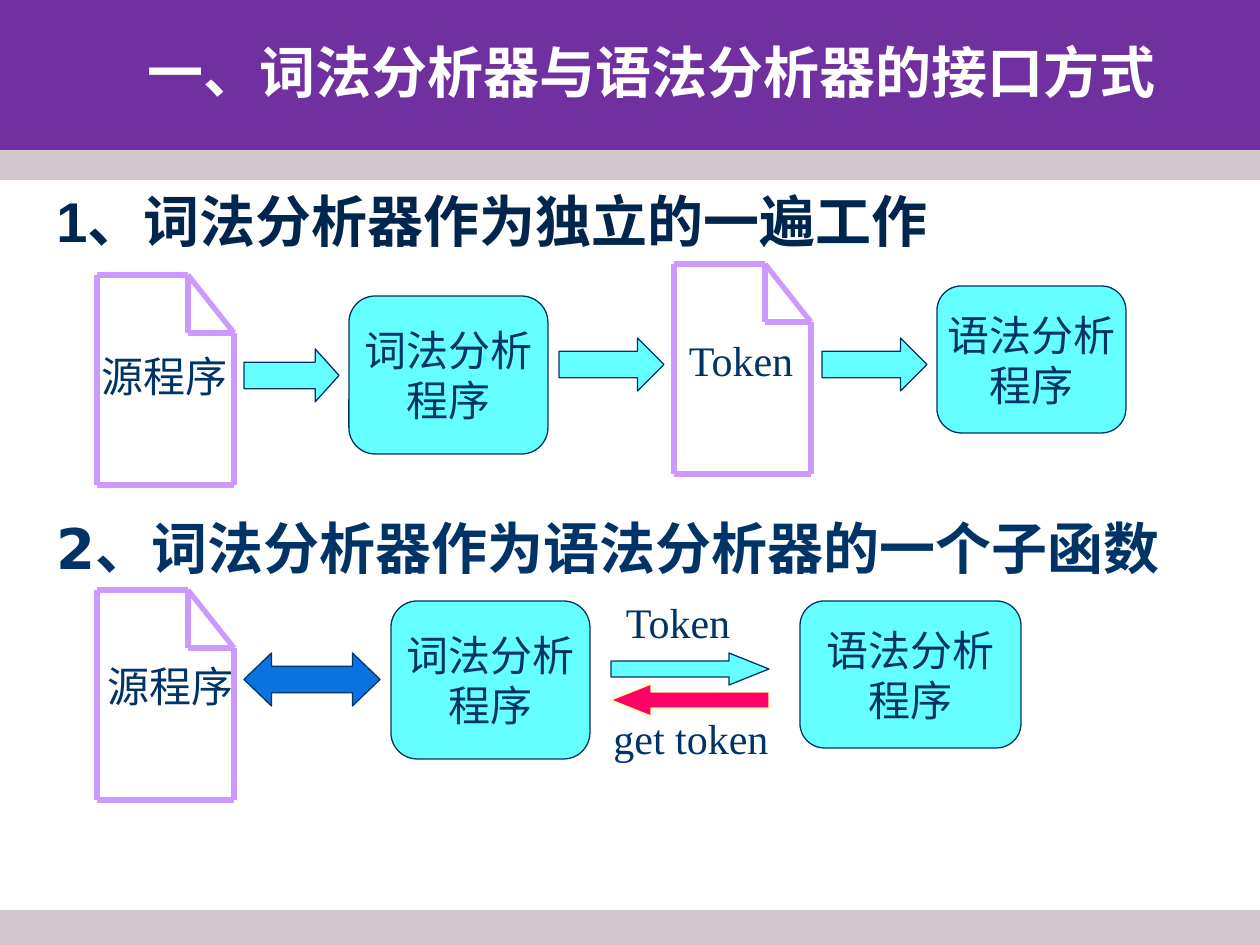
from lxml.etree import SubElement
from pptx import Presentation
from pptx.dml.color import RGBColor
from pptx.enum.shapes import MSO_CONNECTOR, MSO_SHAPE
from pptx.enum.text import MSO_ANCHOR, MSO_AUTO_SIZE, PP_ALIGN
from pptx.oxml.ns import qn
from pptx.util import Emu, Pt

PURPLE, GREY, CYAN, NAVY, LILAC = "7030A0", "D3C7CE", "66FFFF", "003366", "CC99FF"


def px(*lengths):
    return [Emu(round(length * 914400 / 126)) for length in lengths]


def color(value):
    return RGBColor.from_string(value)


def write(shape, text, size=24, font="Times New Roman", fill=NAVY, bold=False,
          align=PP_ALIGN.CENTER, anchor=MSO_ANCHOR.MIDDLE, wrap=False, before=0):
    frame = shape.text_frame
    frame.auto_size = MSO_AUTO_SIZE.NONE
    frame.word_wrap = wrap
    frame.vertical_anchor = anchor
    frame.text = text
    for paragraph in frame.paragraphs:
        paragraph.alignment = align
        paragraph.space_before = Pt(before)
        for run in paragraph.runs:
            run.font.size = Pt(size)
            run.font.name = font
            run.font.bold = bold
            run.font.color.rgb = color(fill)
            east_asian = SubElement(run.font._element, qn("a:ea"))
            east_asian.set("typeface", "Noto Sans CJK SC")


def add_block(kind, box, fill, line=None):
    shape = slide.shapes.add_shape(kind, *px(*box))
    shape.shadow.inherit = False
    shape.fill.solid()
    shape.fill.fore_color.rgb = color(fill)
    if line:
        shape.line.color.rgb = color(line)
        shape.line.width = Pt(0.75)
    else:
        shape.line.fill.background()
    return shape


presentation = Presentation()
presentation.slide_width, presentation.slide_height = px(1260, 945)
slide = presentation.slides.add_slide(presentation.slide_layouts[5])

# Background bands
for box, fill in [((0, 0, 1260, 165), PURPLE),
                  ((0, 150, 1260, 30), GREY),
                  ((0, 910, 1260, 35), GREY)]:
    add_block(MSO_SHAPE.RECTANGLE, box, fill)

# Title, brought in front of the bands
title = slide.shapes.title
title.left, title.top, title.width, title.height = px(135, 31, 1125, 80)
write(title, "一、词法分析器与语法分析器的接口方式", size=32, font="Noto Sans CJK SC",
      fill="FFFFFF", bold=True, align=PP_ALIGN.LEFT, wrap=True)
title.element.getparent().append(title.element)

# Section headings
for text, box, font, fill, before in [
        ("1、词法分析器作为独立的一遍工作", (44, 180, 1008, 95), "Arial", "00264D", 8),
        ("2、词法分析器作为语法分析器的一个子函数", (44, 507, 1155, 81),
         "DejaVu Sans", NAVY, 20)]:
    heading = slide.shapes.add_textbox(*px(*box))
    write(heading, text, size=32, font=font, fill=fill, bold=True, before=before,
          align=PP_ALIGN.LEFT, anchor=MSO_ANCHOR.TOP, wrap=True)

# Pages with a folded corner
page_width, page_height, fold_x, fold_y = 137, 210, 91, 58
page_lines = [
    (0, page_height, page_width, page_height),
    (0, 0, fold_x, 0),
    (0, 0, 0, page_height),
    (fold_x, 0, page_width, fold_y),
    (page_width, fold_y, page_width, page_height),
    (fold_x, 0, fold_x, fold_y),
    (fold_x, fold_y, page_width, fold_y),
]
for left, top in [(97, 275), (674, 264), (97, 590)]:
    page = slide.shapes.add_group_shape()
    for x1, y1, x2, y2 in page_lines:
        edge = page.shapes.add_connector(
            MSO_CONNECTOR.STRAIGHT, *px(left + x1, top + y1, left + x2, top + y2))
        edge.line.color.rgb = color(LILAC)
        edge.line.width = Pt(3)
        SubElement(edge._element.spPr, qn("a:effectLst"))

# Program boxes
for text, box in [("词法分析\n程序", (349, 296, 199, 158)),
                  ("语法分析\n程序", (937, 286, 189, 147)),
                  ("词法分析\n程序", (391, 601, 199, 158)),
                  ("语法分析\n程序", (800, 601, 221, 147))]:
    write(add_block(MSO_SHAPE.ROUNDED_RECTANGLE, box, CYAN, NAVY), text)

# Arrows
for kind, box, head, fill, line in [
        (MSO_SHAPE.RIGHT_ARROW, (244, 349, 95, 53), 0.45, CYAN, NAVY),
        (MSO_SHAPE.RIGHT_ARROW, (559, 338, 105, 53), 0.5, CYAN, NAVY),
        (MSO_SHAPE.RIGHT_ARROW, (822, 338, 105, 53), 0.5, CYAN, NAVY),
        (MSO_SHAPE.LEFT_RIGHT_ARROW, (244, 653, 136, 53), 0.52, "0B73E0", NAVY),
        (MSO_SHAPE.RIGHT_ARROW, (611, 653, 158, 32), 1.25, CYAN, NAVY),
        (MSO_SHAPE.LEFT_ARROW, (611, 684, 158, 32), 1.25, "FF0066", "FFFF99")]:
    arrow = add_block(kind, box, fill, line)
    arrow.adjustments[1] = head

# Labels on the pages and beside the arrows
for text, box in [("源程序", (97, 286, 136, 179)),
                  ("源程序", (97, 633, 147, 105)),
                  ("Token", (675, 328, 132, 63)),
                  ("Token", (612, 590, 132, 63)),
                  ("get token", (601, 706, 180, 63))]:
    write(slide.shapes.add_textbox(*px(*box)), text)

presentation.save("out.pptx")
